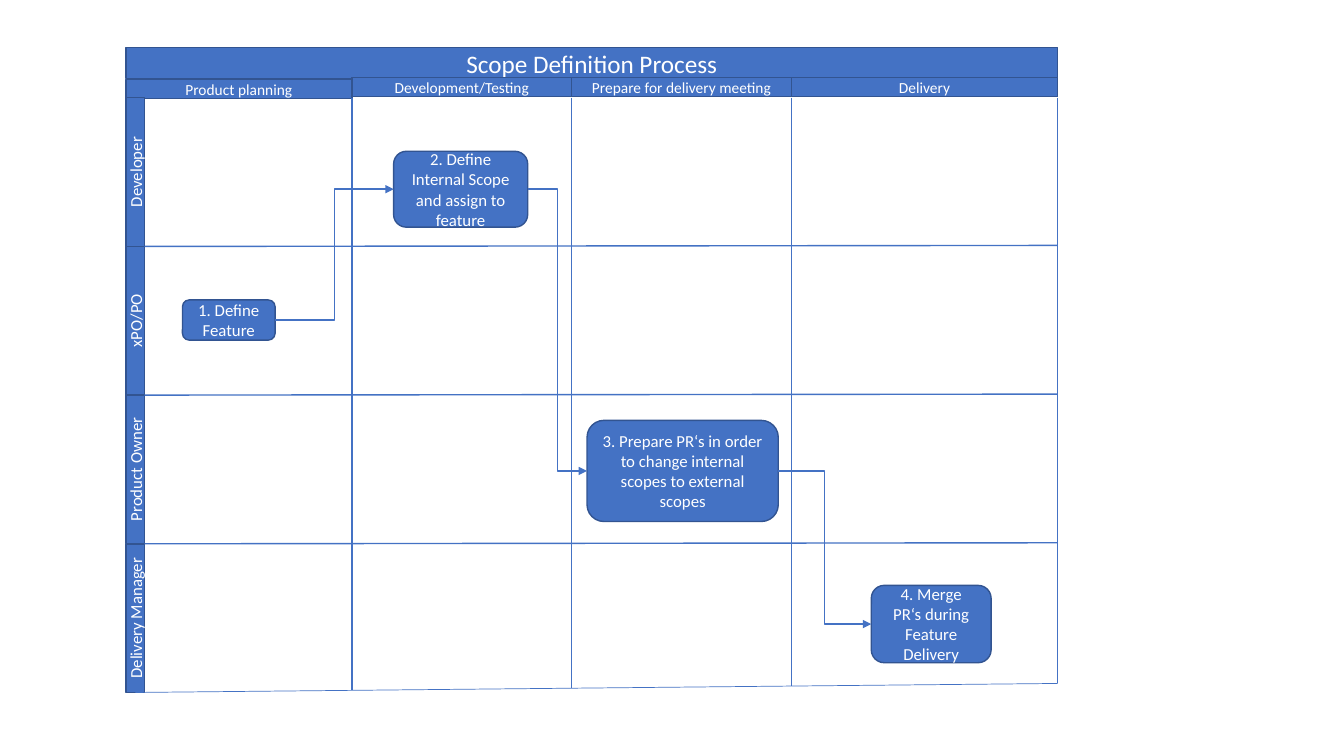
from itertools import accumulate

from lxml import etree
from pptx import Presentation
from pptx.dml.color import RGBColor
from pptx.enum.shapes import MSO_CONNECTOR, MSO_SHAPE
from pptx.enum.text import MSO_ANCHOR, MSO_AUTO_SIZE, PP_ALIGN
from pptx.oxml.ns import qn
from pptx.util import Inches, Pt

RECT, ROUND = MSO_SHAPE.RECTANGLE, MSO_SHAPE.ROUNDED_RECTANGLE
STRAIGHT, ELBOW = MSO_CONNECTOR.STRAIGHT, MSO_CONNECTOR.ELBOW
MIDDLE, CENTER, NO_FIT = MSO_ANCHOR.MIDDLE, PP_ALIGN.CENTER, MSO_AUTO_SIZE.NONE

COLORS = {"blue": "4472C4", "edge": "325491", "text": "FFFFFF"}
FONT = "Calibri"
CHART_BOX = (1.25, 0.47, 9.24, 6.4)  # left, top, width, height

TITLE = "Scope Definition Process"
PHASES = ["Product planning", "Development/Testing",
          "Prepare for delivery meeting", "Delivery"]
LANES = ["Developer", "xPO/PO", "Product Owner", "Delivery Manager"]
COL_WEIGHTS = [2.24, 2.18, 2.18, 2.64]
ROW_WEIGHTS = [0.31, 0.19] + [1.475] * len(LANES)  # title, phases, lanes
LABEL_W = 0.02  # lane label, share of the chart width
SLANT = 0.014   # rise of the bottom edge, share of the chart height

# Text, column, lane, then left, top, width and height as shares of the cell
STEPS = [
    ("1. Define Feature", 0, 1, 0.25, 0.36, 0.41, 0.27),
    ("2. Define Internal Scope and assign to feature", 1, 0, 0.19, 0.36, 0.61, 0.51),
    ("3. Prepare PR‘s in order to change internal scopes to external scopes",
     2, 2, 0.07, 0.17, 0.87, 0.68),
    ("4. Merge PR‘s during Feature Delivery", 3, 3, 0.3, 0.28, 0.45, 0.52),
]


def rgb(name):
    return RGBColor.from_string(COLORS[name])


def edges(start, length, weights):
    """Cell boundaries along one axis."""
    return [start + length * w / sum(weights) for w in accumulate(weights, initial=0)]


def style(sp, text, size):
    """Blue fill, dark edge, white centred text."""
    sp.shadow.inherit = False
    sp.fill.solid()
    sp.fill.fore_color.rgb = rgb("blue")
    sp.line.color.rgb = rgb("edge")
    sp.line.width = Pt(1)
    tf = sp.text_frame
    tf.word_wrap = True
    tf.auto_size = NO_FIT
    tf.vertical_anchor = MIDDLE
    p = tf.paragraphs[0]
    p.alignment = CENTER
    r = p.add_run()
    r.text = text
    r.font.name = FONT
    r.font.size = Pt(size)
    r.font.color.rgb = rgb("text")


def add_box(s, kind, x, y, w, h, text, size):
    sp = s.shapes.add_shape(kind, Inches(x), Inches(y), Inches(w), Inches(h))
    style(sp, text, size)
    return sp


def add_line(s, kind, x1, y1, x2, y2, width=1):
    cn = s.shapes.add_connector(kind, Inches(x1), Inches(y1), Inches(x2), Inches(y2))
    cn.line.color.rgb = rgb("blue")
    cn.line.width = Pt(width)
    etree.SubElement(cn.line._get_or_add_ln().getparent(), qn("a:effectLst"))
    return cn


def add_headers(s, xs, ys):
    # Title bar
    title = s.shapes.title
    title.left, title.top = Inches(xs[0]), Inches(ys[0])
    title.width, title.height = Inches(xs[-1] - xs[0]), Inches(ys[1] - ys[0])
    style(title, TITLE, 18)
    # Phase headers; the first sits slightly lower
    for i, phase in enumerate(PHASES):
        y = ys[1] + (0.01 if i == 0 else -0.01)
        add_box(s, RECT, xs[i], y, xs[i + 1] - xs[i], ys[2] - ys[1], phase, 11)


def add_lane_labels(s, x, width, lane_ys):
    for lane, top, bottom in zip(LANES, lane_ys, lane_ys[1:]):
        h = bottom - top
        sp = add_box(s, RECT, x + (width - h) / 2, top + (h - width) / 2,
                     h, width, lane, 12)
        sp.rotation = 270


def add_steps(s, xs, lane_ys):
    shapes = []
    for text, col, lane, left, top, width, height in STEPS:
        w, h = xs[col + 1] - xs[col], lane_ys[lane + 1] - lane_ys[lane]
        shapes.append(add_box(s, ROUND, xs[col] + left * w, lane_ys[lane] + top * h,
                              width * w, height * h, text, 12))
    # Arrows run from the right side of a step to the left side of the next
    for src, dst in zip(shapes, shapes[1:]):
        cn = add_line(s, ELBOW, 0, 0, 1, 1)
        cn.begin_connect(src, 3)
        cn.end_connect(dst, 1)
        etree.SubElement(cn.line._get_or_add_ln(), qn("a:tailEnd"), type="triangle")


def add_grid(s, xs, lane_ys, label_w, rise):
    left, right, top, bottom = xs[0], xs[-1], lane_ys[0], lane_ys[-1]
    # Column lines end on the slanted bottom edge
    for x in xs[1:]:
        add_line(s, STRAIGHT, x, top, x, bottom - rise * (x - left) / (right - left))
    add_line(s, STRAIGHT, left + label_w / 2, bottom, right, bottom - rise, 0.5)
    # Lane lines
    for y in lane_ys[1:-1]:
        add_line(s, STRAIGHT, left + label_w, y, right, y - 0.01)


def add_swimlane(s, box):
    x, y, w, h = box
    xs, ys = edges(x, w, COL_WEIGHTS), edges(y, h, ROW_WEIGHTS)
    lane_ys = ys[2:]
    add_headers(s, xs, ys)
    add_lane_labels(s, x, LABEL_W * w, lane_ys)
    add_steps(s, xs, lane_ys)
    add_grid(s, xs, lane_ys, LABEL_W * w, SLANT * h)


prs = Presentation()
prs.slide_width, prs.slide_height = Inches(13.33), Inches(7.5)
s = prs.slides.add_slide(prs.slide_layouts[5])
add_swimlane(s, CHART_BOX)
prs.save("out.pptx")
